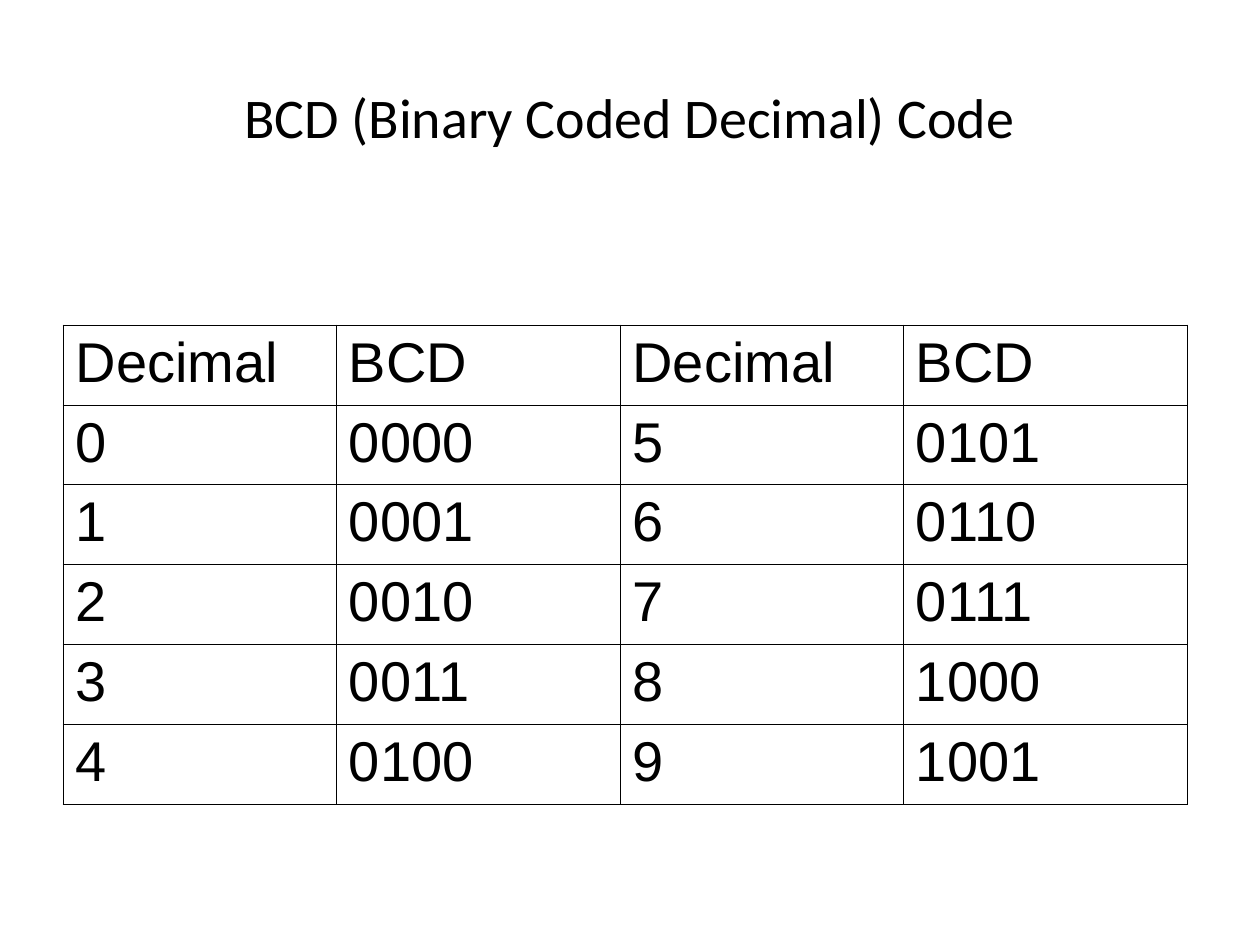
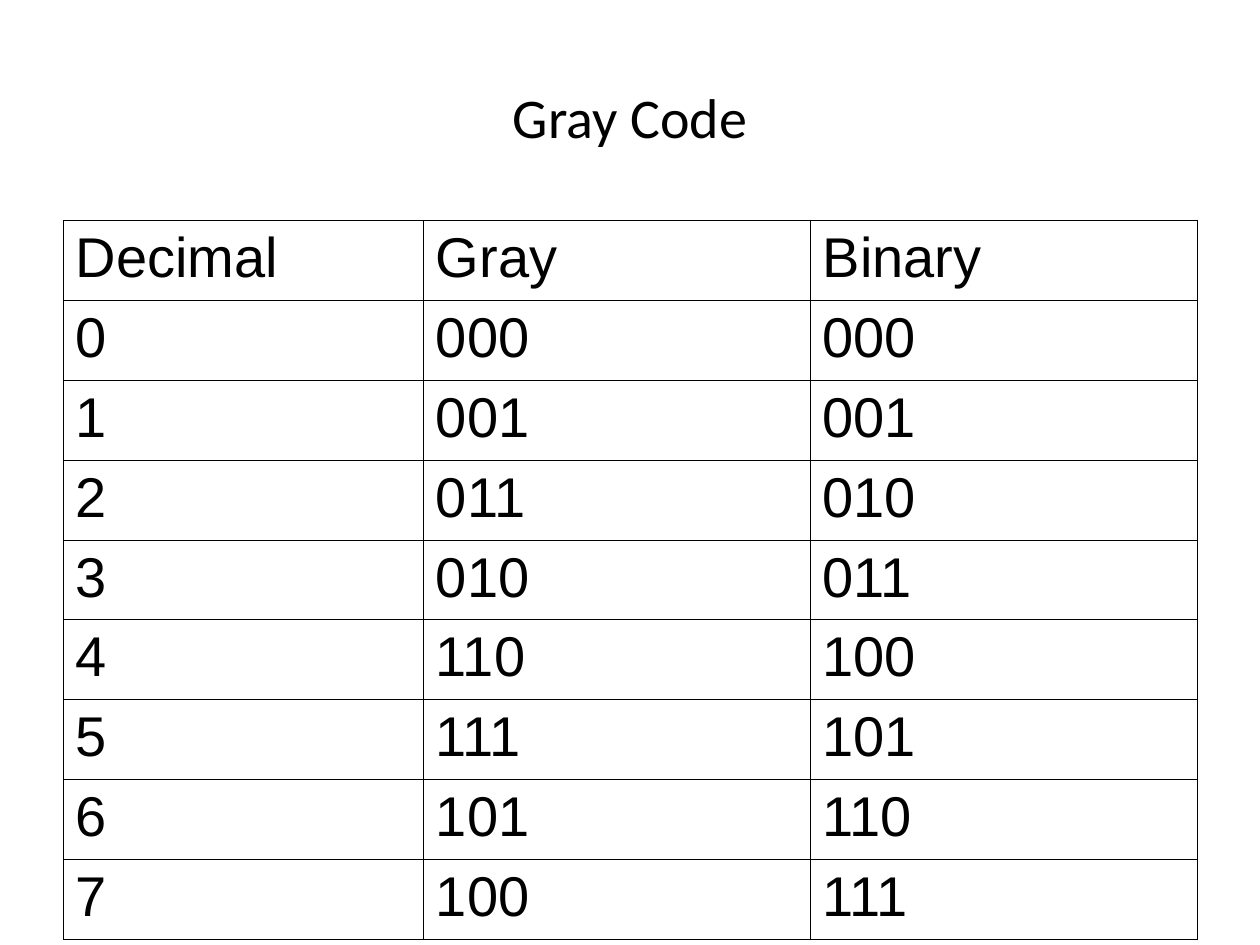
from lxml import etree
from pptx import Presentation
from pptx.dml.color import RGBColor
from pptx.enum.text import MSO_ANCHOR, PP_ALIGN
from pptx.oxml.ns import qn
from pptx.util import Inches, Pt

LEFT, CENTER = PP_ALIGN.LEFT, PP_ALIGN.CENTER
MIDDLE = MSO_ANCHOR.MIDDLE
BLACK, WHITE = "000000", "FFFFFF"
ROW = 3.8 / 6


def put(frame, text, font="Arial", size=32, color=BLACK, align=LEFT):
    para = frame.paragraphs[0]
    para.alignment = align
    run = para.add_run()
    run.text = text
    run.font.name = font
    run.font.size = Pt(size)
    run.font.bold = False
    run.font.color.rgb = RGBColor.from_string(color)


def edge(cell, color=BLACK, width=0.45):
    props = cell._tc.get_or_add_tcPr()
    for side in ("lnL", "lnR", "lnT", "lnB"):
        line = etree.SubElement(props, qn(f"a:{side}"), w=str(Pt(width)))
        fill = etree.SubElement(line, qn("a:solidFill"))
        etree.SubElement(fill, qn("a:srgbClr"), val=color)


# Code tables, with the codes worked out from the digits
bcd = [("Decimal", "BCD") * 2]
bcd += [(str(n), f"{n:04b}", str(n + 5), f"{n + 5:04b}") for n in range(5)]
gray = [("Decimal", "Gray", "Binary")]
gray += [(str(n), f"{n ^ n >> 1:03b}", f"{n:03b}") for n in range(8)]

# Title, table top, column widths, rows
pages = [
    ("BCD (Binary Coded Decimal) Code", 2.58, (2.17, 2.25, 2.25, 2.25), bcd),
    ("Gray Code", 1.75, (2.86, 3.07, 3.07), gray),
]

deck = Presentation()
deck.slide_width, deck.slide_height = Inches(10), Inches(7.5)

for title, top, widths, rows in pages:
    slide = deck.slides.add_slide(deck.slide_layouts[6])

    # Title
    box = slide.shapes.add_textbox(Inches(0.5), Inches(0.3), Inches(9), Inches(1.25))
    box.text_frame.word_wrap = True
    box.text_frame.vertical_anchor = MIDDLE
    put(box.text_frame, title, font="Calibri", align=CENTER)

    # Table grid
    table = slide.shapes.add_table(
        len(rows), len(widths), Inches(0.5), Inches(top),
        Inches(sum(widths)), Inches(ROW * len(rows))).table
    table.first_row = table.horz_banding = False
    for col, width in zip(table.columns, widths):
        col.width = Inches(width)

    # Cells
    for r, row in enumerate(rows):
        for c, text in enumerate(row):
            cell = table.cell(r, c)
            edge(cell)
            cell.fill.solid()
            cell.fill.fore_color.rgb = RGBColor.from_string(WHITE)
            put(cell.text_frame, text)

deck.save("out.pptx")
